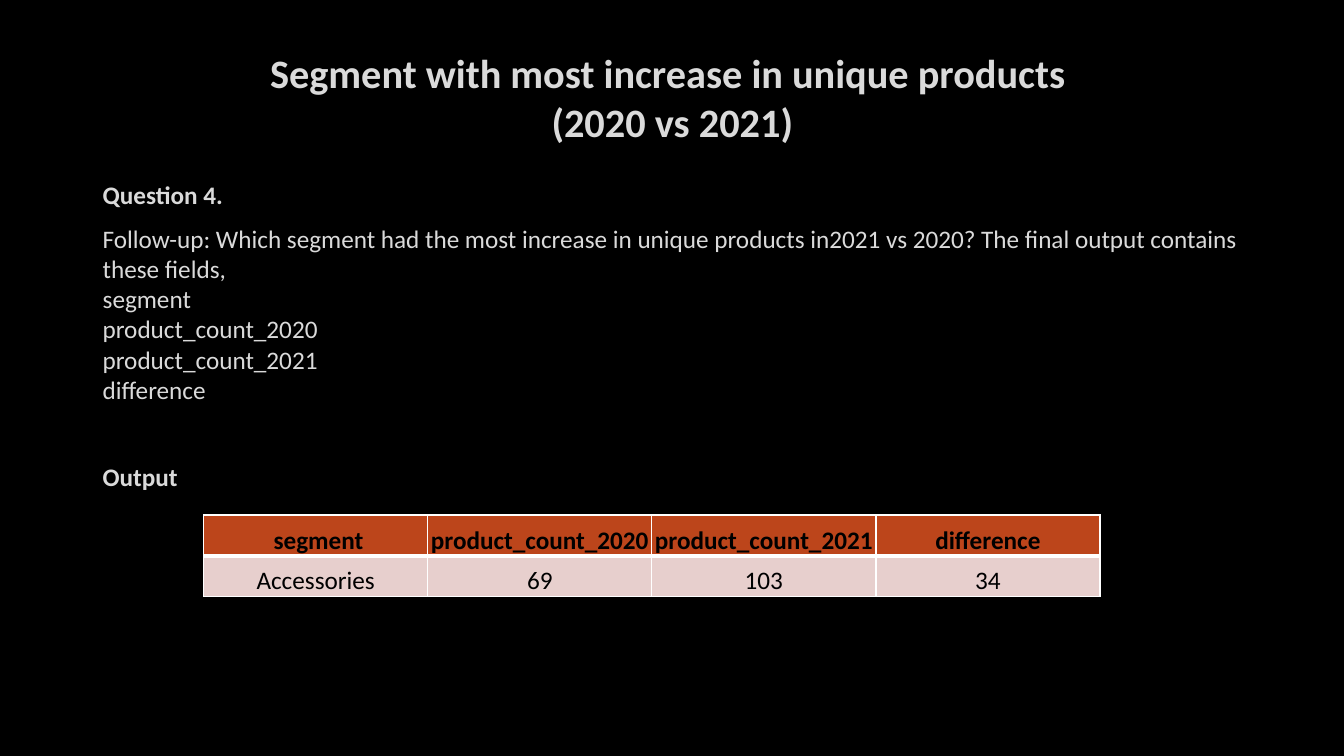
from lxml import etree
from pptx import Presentation, util as u
from pptx.dml.color import RGBColor
from pptx.enum import text
from pptx.oxml import ns

LIGHT, BLACK, WHITE = "DADADA", "000000", "FFFFFF"
FONT = "Calibri"


def style(p, size, color, bold):
    p.font.name, p.font.size, p.font.bold = FONT, u.Pt(size), bold
    p.font.color.rgb = RGBColor.from_string(color)


def border(cell, side, points):
    """Draw one white cell edge; side is L, R, T or B."""
    ln = etree.SubElement(cell._tc.get_or_add_tcPr(), ns.qn(f"a:ln{side}"), w=str(u.Pt(points)))
    fill = etree.SubElement(ln, ns.qn("a:solidFill"))
    etree.SubElement(fill, ns.qn("a:srgbClr"), val=WHITE)


prs = Presentation()
prs.slide_width, prs.slide_height = u.Inches(13.33), u.Inches(7.5)
s = prs.slides.add_slide(prs.slide_layouts[6])
s.background.fill.solid()
s.background.fill.fore_color.rgb = RGBColor.from_string(BLACK)

left, width = u.Inches(0.92), u.Inches(11.5)

# Title
tf = s.shapes.add_textbox(left, u.Inches(0.4), width, u.Inches(1.12)).text_frame
tf.word_wrap = True
tf.vertical_anchor = text.MSO_ANCHOR.MIDDLE
p = tf.paragraphs[0]
p.text = "Segment with most increase in unique products \v(2020 vs 2021)"
p.alignment = text.PP_ALIGN.CENTER
style(p, 28.8, LIGHT, True)

# Question: text, bold, space before
question = "\v".join([
    "Follow-up: Which segment had the most increase in unique products in2021 vs 2020? "
    "The final output contains these fields,",
    "segment", "product_count_2020", "product_count_2021", "difference",
])
paragraphs = [("Question 4.", True, 3.6), (question, False, 3.6), ("Output", True, 34.8)]

tf = s.shapes.add_textbox(left, u.Inches(1.73), width, u.Inches(5.03)).text_frame
tf.word_wrap = True
for i, (words, bold, before) in enumerate(paragraphs):
    p = tf.add_paragraph() if i else tf.paragraphs[0]
    p.text = words
    p.space_before, p.space_after = u.Pt(before), u.Pt(6)
    style(p, 18, LIGHT, bold)

# Output table
rows = [
    [" segment", "product_count_2020", "product_count_2021", "difference"],
    ["Accessories", "69", "103", "34"],
]
table = s.shapes.add_table(len(rows), len(rows[0]), u.Inches(2.02), u.Inches(5.11),
                           u.Inches(8.89), u.Inches(0.81)).table
for r, row in enumerate(rows):
    header = r == 0
    for c, words in enumerate(row):
        cell = table.cell(r, c)
        cell.text = words
        cell.vertical_anchor = text.MSO_ANCHOR.BOTTOM
        cell.margin_left = cell.margin_right = cell.margin_top = u.Inches(0.01)
        cell.margin_bottom = 0
        p = cell.text_frame.paragraphs[0]
        p.alignment = text.PP_ALIGN.CENTER
        style(p, 18, BLACK, header)
        for side in "LRTB":
            rule = (header and side == "B") or (not header and side == "T")
            border(cell, side, 3 if rule else 1)
        cell.fill.solid()
        cell.fill.fore_color.rgb = RGBColor.from_string("BC451B" if header else "E7CFCD")

prs.save("out.pptx")
